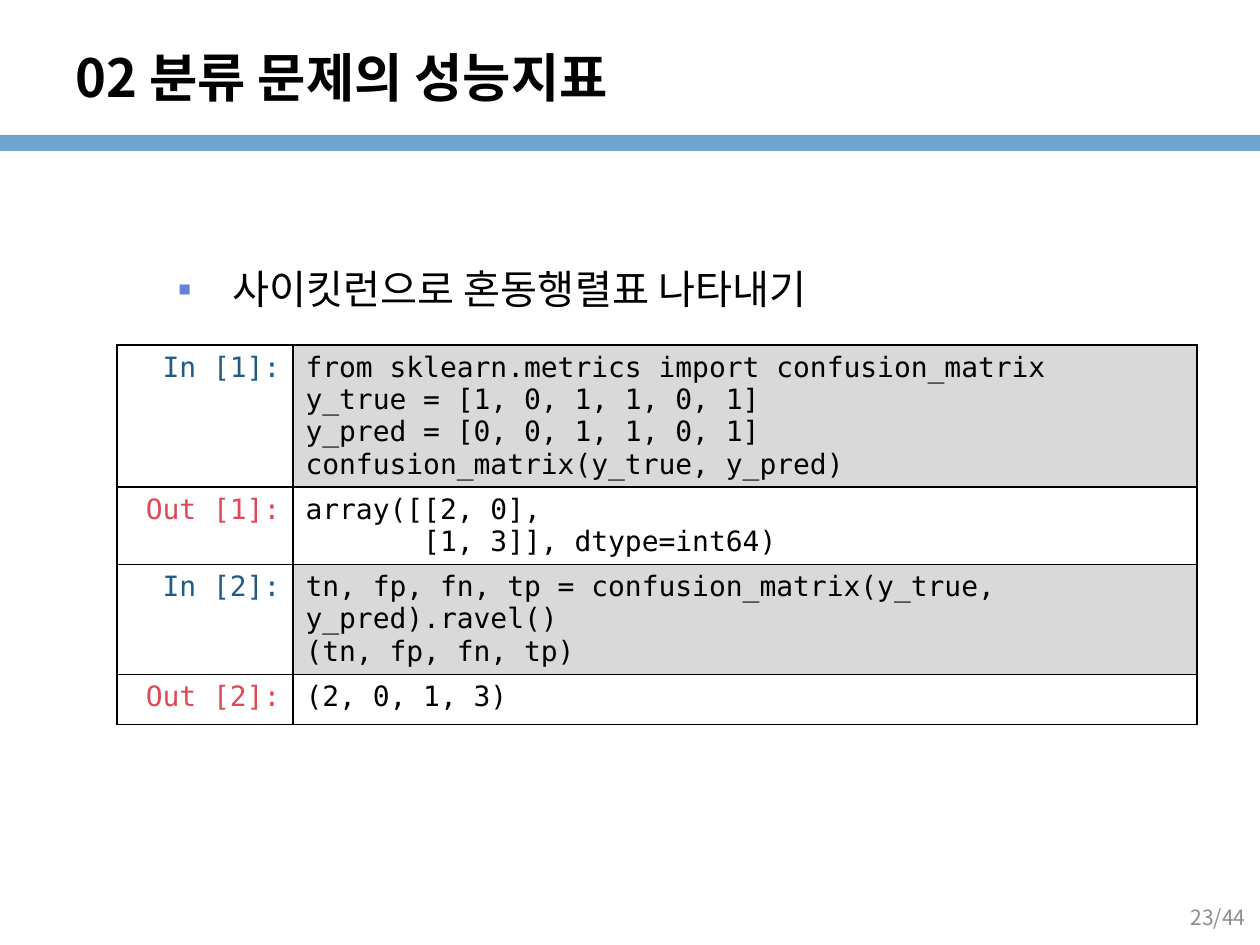
from lxml import etree
from pptx import Presentation
from pptx.dml.color import RGBColor
from pptx.enum.shapes import MSO_SHAPE
from pptx.enum.text import MSO_ANCHOR, MSO_AUTO_SIZE, PP_ALIGN
from pptx.oxml.ns import qn
from pptx.util import Pt

RECT = MSO_SHAPE.RECTANGLE
TOP, MIDDLE = MSO_ANCHOR.TOP, MSO_ANCHOR.MIDDLE
LEFT, RIGHT = PP_ALIGN.LEFT, PP_ALIGN.RIGHT
NO_FIT = MSO_AUTO_SIZE.NONE

SCALE = 914400 / 126  # EMU per px
SANS, MONO, BODY = "Noto Sans CJK KR", "DejaVu Sans Mono", "Calibri"
COLORS = {
    "band": "71A4CC", "text": "000000", "bullet": "6182D6", "code": "D9D9D9",
    "paper": "FFFFFF", "In": "215C88", "Out": "DF4857", "page": "8C8C8C",
}


def px(*lengths):
    return [round(n * SCALE) for n in lengths]


def write(p, text, color, align=LEFT, **font):
    p.alignment = align
    r = p.add_run()
    r.text = text
    for name, value in font.items():
        setattr(r.font, name, value)
    r.font.color.rgb = RGBColor.from_string(COLORS[color])
    if font["name"] != MONO:
        etree.SubElement(r.font._element, qn("a:ea"), typeface=SANS)


prs = Presentation()
prs.slide_width, prs.slide_height = px(1260, 945)
s = prs.slides.add_slide(prs.slide_layouts[1])
title, body = s.placeholders

# Band under the title
band = s.shapes.add_shape(RECT, *px(0, 135, 1260, 16))
band.shadow.inherit = False
band.fill.solid()
band.fill.fore_color.rgb = RGBColor.from_string(COLORS["band"])
band.line.fill.background()

# Title, bullet and page number frames
page = s.shapes.add_textbox(*px(964, 892, 294, 50))
frames = [
    (title, (63, 38, 987, 78), MIDDLE),
    (body, (63, 185, 1134, 711), TOP),
    (page, (964, 892, 294, 50), MIDDLE),
]
for sp, box, anchor in frames:
    sp.left, sp.top, sp.width, sp.height = px(*box)
    tf = sp.text_frame
    tf.word_wrap, tf.auto_size, tf.vertical_anchor = True, NO_FIT, anchor

write(title.text_frame.paragraphs[0], "02 분류 문제의 성능지표", "text",
      size=Pt(30), bold=True, name=SANS)
write(page.text_frame.paragraphs[0], "23/44", "page", RIGHT, size=Pt(12), name=SANS)

# Bullet line
body.text_frame.margin_top = px(79)[0]
p = body.text_frame.paragraphs[0]
p.level, p.space_before = 1, Pt(0)
write(p, "사이킷런으로 혼동행렬표 나타내기", "text", size=Pt(23), name=BODY)
pPr = p._p.get_or_add_pPr()
margin, indent = px(157, -55)
pPr.set("marL", str(margin))
pPr.set("indent", str(indent))
bullet_color = etree.SubElement(pPr, qn("a:buClr"))
etree.SubElement(bullet_color, qn("a:srgbClr"), val=COLORS["bullet"])
etree.SubElement(pPr, qn("a:buFont"), typeface="Arial")
etree.SubElement(pPr, qn("a:buChar"), char="▪")

# Notebook cells: prompt, code lines, row height
notebook = [
    ("In [1]:", ["from sklearn.metrics import confusion_matrix",
                 "y_true = [1, 0, 1, 1, 0, 1]",
                 "y_pred = [0, 0, 1, 1, 0, 1]",
                 "confusion_matrix(y_true, y_pred)"], 142),
    ("Out [1]:", ["array([[2, 0],",
                  "       [1, 3]], dtype=int64)"], 77),
    ("In [2]:", ["tn, fp, fn, tp = confusion_matrix(y_true, y_pred).ravel()",
                 "(tn, fp, fn, tp)"], 110),
    ("Out [2]:", ["(2, 0, 1, 3)"], 50),
]
height = sum(row[2] for row in notebook)
table = s.shapes.add_table(len(notebook), 2, *px(117, 345, 1080, height)).table
table.first_row = table.horz_banding = False
for column, width in zip(table.columns, px(176, 904)):
    column.width = width

for i, (prompt, lines, row_height) in enumerate(notebook):
    table.rows[i].height = px(row_height)[0]
    kind = prompt.split()[0]
    cells = [
        ([prompt], kind, RIGHT, "paper"),
        (lines, "text", LEFT, "code" if kind == "In" else "paper"),
    ]
    for j, (texts, color, align, fill) in enumerate(cells):
        cell = table.cell(i, j)
        tf = cell.text_frame
        for n, text in enumerate(texts):
            p = tf.add_paragraph() if n else tf.paragraphs[0]
            write(p, text, color, align, size=Pt(16), name=MONO)
        # Borders come before the fill in the cell properties
        tcPr = cell._tc.get_or_add_tcPr()
        for side in ("lnL", "lnR", "lnT", "lnB"):
            ln = etree.SubElement(tcPr, qn("a:" + side), w=str(Pt(1)))
            solid = etree.SubElement(ln, qn("a:solidFill"))
            etree.SubElement(solid, qn("a:srgbClr"), val=COLORS["text"])
        cell.fill.solid()
        cell.fill.fore_color.rgb = RGBColor.from_string(COLORS[fill])

prs.save("out.pptx")
